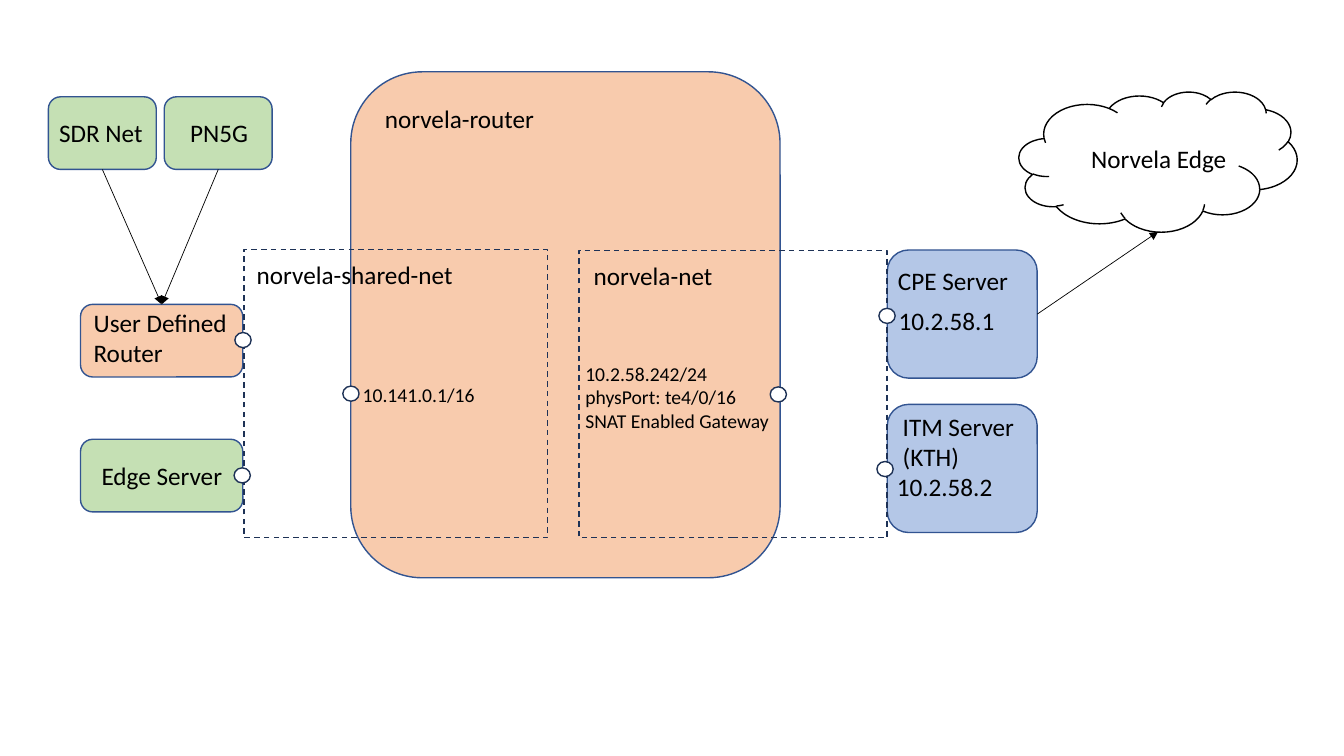
import dataclasses

import lxml.etree
import pptx
import pptx.dml.color
import pptx.enum.dml
import pptx.enum.shapes
import pptx.enum.text
import pptx.oxml.ns
import pptx.util

Cm = pptx.util.Cm
Pt = pptx.util.Pt
SHAPES = pptx.enum.shapes.MSO_SHAPE


@dataclasses.dataclass(frozen=True)
class Theme:
    font: str = "Calibri"
    label_size: int = 18
    detail_size: int = 14
    text: str = "000000"
    outline: str = "325491"
    dark_outline: str = "1E3256"
    white: str = "FFFFFF"
    green: str = "C5E0B4"
    orange: str = "F8CBAD"
    blue: str = "B4C7E7"
    line_width: float = 1
    arrow_width: float = 0.5


class NetworkDiagram:
    def __init__(self, slide, theme):
        self.slide = slide
        self.theme = theme

    def color(self, value):
        return pptx.dml.color.RGBColor.from_string(value)

    def outlined(self, kind, left, top, width, height, line, fill=None):
        shape = self.slide.shapes.add_shape(kind, Cm(left), Cm(top), Cm(width), Cm(height))
        shape.shadow.inherit = False
        if fill:
            shape.fill.solid()
            shape.fill.fore_color.rgb = self.color(fill)
        else:
            shape.fill.background()
        shape.line.color.rgb = self.color(line)
        shape.line.width = Pt(self.theme.line_width)
        return shape

    def node(self, left, top, width, height, fill):
        return self.outlined(SHAPES.ROUNDED_RECTANGLE, left, top, width, height,
                             self.theme.outline, fill)

    def network(self, left, top, width, height):
        shape = self.outlined(SHAPES.RECTANGLE, left, top, width, height,
                              self.theme.dark_outline)
        shape.line.dash_style = pptx.enum.dml.MSO_LINE.DASH
        return shape

    def cloud(self, left, top, width, height):
        return self.outlined(SHAPES.CLOUD, left, top, width, height, self.theme.text)

    def port(self, left, top):
        return self.outlined(SHAPES.FLOWCHART_CONNECTOR, left, top, 0.41, 0.38,
                             self.theme.dark_outline, self.theme.white)

    def label(self, left, top, width, lines, size=None):
        size = size or self.theme.label_size
        height = 0.25 + 0.043 * size * len(lines)
        box = self.slide.shapes.add_textbox(Cm(left), Cm(top), Cm(width), Cm(height))
        frame = box.text_frame
        frame.word_wrap = False
        frame.auto_size = pptx.enum.text.MSO_AUTO_SIZE.SHAPE_TO_FIT_TEXT
        for index, line in enumerate(lines):
            paragraph = frame.add_paragraph() if index else frame.paragraphs[0]
            run = paragraph.add_run()
            run.text = line
            run.font.name = self.theme.font
            run.font.size = Pt(size)
            run.font.color.rgb = self.color(self.theme.text)

    def arrow(self, source, source_site, target, target_site=None):
        connector = self.slide.shapes.add_connector(
            pptx.enum.shapes.MSO_CONNECTOR.STRAIGHT, 0, 0,
            target.left + target.width // 2, target.top + target.height)
        connector.begin_connect(source, source_site)
        if target_site is not None:
            connector.end_connect(target, target_site)
        connector.line.color.rgb = self.color(self.theme.text)
        connector.line.width = Pt(self.theme.arrow_width)
        qn = pptx.oxml.ns.qn
        line = connector.line._get_or_add_ln()
        lxml.etree.SubElement(line, qn("a:tailEnd"), type="triangle")
        lxml.etree.SubElement(connector._element.spPr, qn("a:effectLst"))


def main():
    presentation = pptx.Presentation()
    presentation.slide_width = Cm(33.87)
    presentation.slide_height = Cm(19.05)
    slide = presentation.slides.add_slide(presentation.slide_layouts[6])
    theme = Theme()
    diagram = NetworkDiagram(slide, theme)

    top_site, bottom_site, right_site = 0, 2, 3
    diagram.node(2.03, 11.07, 4.09, 1.83, theme.green)
    diagram.node(8.84, 1.81, 10.82, 12.75, theme.orange)
    diagram.node(22.36, 10.19, 3.78, 3.23, theme.blue)
    cpe_server = diagram.node(22.36, 6.3, 3.78, 3.23, theme.blue)
    user_router = diagram.node(2.03, 7.67, 4.09, 1.83, theme.orange)
    sources = [diagram.node(left, 2.44, 2.72, 1.83, theme.green) for left in (1.22, 4.14)]
    edge_cloud = diagram.cloud(25.68, 2.31, 7.01, 3.53)

    diagram.network(14.59, 6.31, 7.77, 7.24)
    diagram.network(6.15, 6.29, 7.65, 7.26)

    ports = [(19.41, 9.75), (8.64, 9.73), (5.9, 11.79),
             (22.1, 11.63), (22.15, 7.77), (5.92, 8.38)]
    for left, top in ports:
        diagram.port(left, top)

    labels = [
        (2.31, 11.48, 3.58, ["Edge Server"]),
        (14.71, 6.43, 4.4, ["norvela-net"]),
        (22.5, 10.24, 3.35, ["ITM Server", "(KTH)"]),
        (22.4, 7.57, 2.95, ["10.2.58.1"]),
        (22.35, 11.76, 2.95, ["10.2.58.2"]),
        (22.38, 6.55, 3.3, ["CPE Server"]),
        (27.25, 3.48, 4.6, ["Norvela Edge"]),
        (6.22, 6.4, 5.6, ["norvela-shared-net"]),
        (9.45, 2.48, 5, ["norvela-router"]),
        (2.11, 7.62, 3.91, ["User Defined", "Router"]),
        (1.24, 2.84, 2.64, ["SDR Net"]),
        (4.54, 2.84, 2.2, ["PN5G"]),
    ]
    for left, top, width, lines in labels:
        diagram.label(left, top, width, lines)

    diagram.label(8.89, 9.53, 3.35, ["10.141.0.1/16"], theme.detail_size)
    diagram.label(14.5, 8.99, 5.18,
                  ["10.2.58.242/24", "physPort: te4/0/16", "SNAT Enabled Gateway"],
                  theme.detail_size)

    for source in sources:
        diagram.arrow(source, bottom_site, user_router, top_site)
    diagram.arrow(cpe_server, right_site, edge_cloud)

    presentation.save("out.pptx")


if __name__ == "__main__":
    main()
